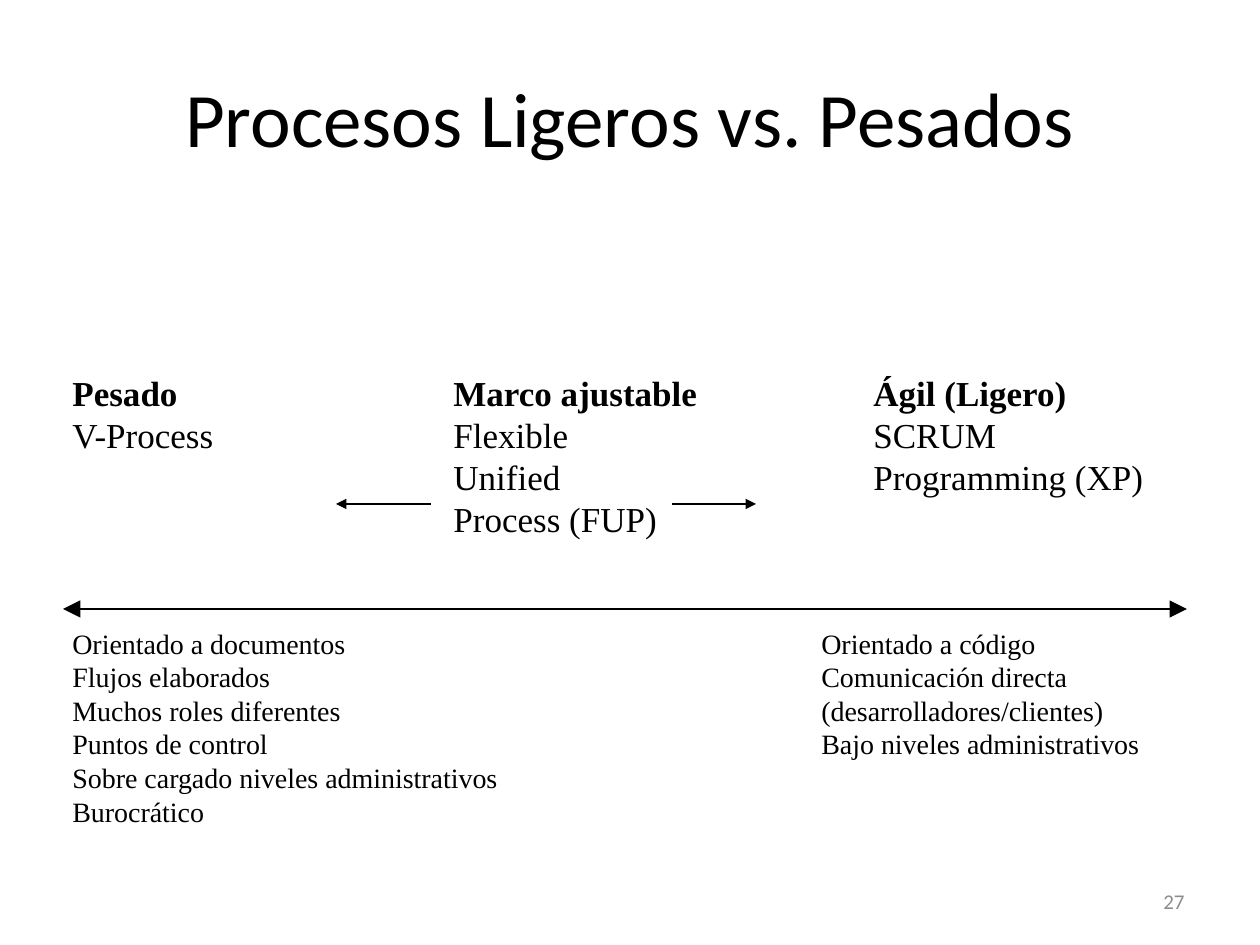
"""Build a slide that compares light and heavy development processes."""
from lxml import etree
from pptx import Presentation, util as u
from pptx.dml.color import RGBColor
from pptx.enum import shapes, text
from pptx.oxml.ns import qn

SCALE = 914400 // 126
BLACK, GREY = "000000", "8C8C8C"
SERIF, SANS = "Times New Roman", "Calibri"
TITLE = "Procesos Ligeros vs. Pesados"
PAGE_NUMBER = "27"
PROCESS_TOP, TRAIT_TOP = 365, 620
PROCESSES = [
    (60, 168, 97, ["Pesado", "V-Process"]),
    (441, 271, 183, ["Marco ajustable", "Flexible", "Unified", "Process (FUP)"]),
    (861, 297, 140, ["Ágil (Ligero)", "SCRUM", "Programming (XP)"]),
]
TRAITS = [
    (60, 457, 217, ["Orientado a documentos", "Flujos elaborados",
                    "Muchos roles diferentes", "Puntos de control",
                    "Sobre cargado niveles administrativos", "Burocrático"]),
    (809, 349, 149, ["Orientado a código", "Comunicación directa",
                     "(desarrolladores/clientes)", "Bajo niveles administrativos"]),
]
ARROWS = [
    (63, 1187, 609, ["headEnd", "tailEnd"], "lg"),
    (672, 756, 504, ["tailEnd"], "med"),
    (431, 336, 504, ["tailEnd"], "med"),
]


def px(*lengths):
    return [u.Emu(length * SCALE) for length in lengths]


def color(value):
    return RGBColor.from_string(value)


def write(frame, lines, size, font, ink=BLACK, align=text.PP_ALIGN.LEFT, heading=False):
    for index, line in enumerate(lines):
        para = frame.paragraphs[0] if index == 0 else frame.add_paragraph()
        para.alignment = align
        span = para.add_run()
        span.text = line
        span.font.size = u.Pt(size)
        span.font.name = font
        span.font.bold = heading and index == 0
        span.font.color.rgb = color(ink)


def add_list(page, left, top, width, height, lines, size, heading):
    box = page.shapes.add_textbox(*px(left, top, width, height))
    frame = box.text_frame
    frame.word_wrap = False
    frame.auto_size = text.MSO_AUTO_SIZE.SHAPE_TO_FIT_TEXT
    write(frame, lines, size, SERIF, heading=heading)


def add_arrow(page, start, end, y, ends, size):
    arrow = page.shapes.add_connector(shapes.MSO_CONNECTOR.STRAIGHT, *px(start, y, end, y))
    arrow.line.color.rgb = color(BLACK)
    arrow.line.width = u.Pt(0.75)
    outline = arrow.line._get_or_add_ln()
    for name in ends:
        etree.SubElement(outline, qn("a:" + name), type="triangle", w=size, len=size)
    etree.SubElement(arrow._element.spPr, qn("a:effectLst"))


deck = Presentation()
deck.slide_width, deck.slide_height = px(1260, 945)
page = deck.slides.add_slide(deck.slide_layouts[5])

title = page.shapes.title
title.left, title.top, title.width, title.height = px(63, 38, 1134, 157)
title.text_frame.vertical_anchor = text.MSO_ANCHOR.MIDDLE
write(title.text_frame, [TITLE], 44, SANS, align=text.PP_ALIGN.CENTER)

for top, size, heading, columns in [(PROCESS_TOP, 20, True, PROCESSES),
                                    (TRAIT_TOP, 16, False, TRAITS)]:
    for left, width, height, lines in columns:
        add_list(page, left, top, width, height, lines, size, heading)

for arrow in ARROWS:
    add_arrow(page, *arrow)

number = page.shapes.add_textbox(*px(903, 876, 294, 50))
number.text_frame.word_wrap = True
number.text_frame.vertical_anchor = text.MSO_ANCHOR.MIDDLE
write(number.text_frame, [PAGE_NUMBER], 12, SANS, GREY, text.PP_ALIGN.RIGHT)

deck.save("out.pptx")
